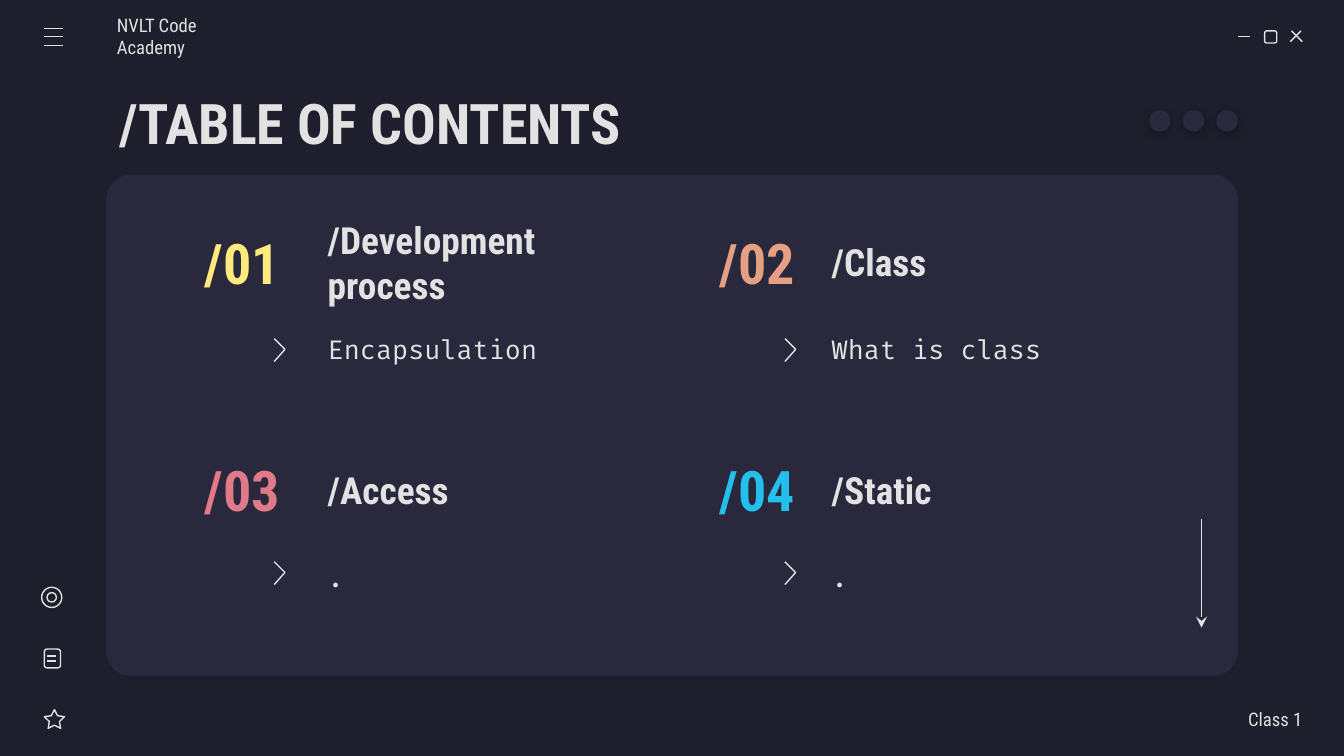
from dataclasses import dataclass

from lxml.etree import SubElement
from pptx import Presentation
from pptx.dml.color import RGBColor
from pptx.enum.shapes import MSO_CONNECTOR as Connector, MSO_SHAPE as Preset
from pptx.enum.text import MSO_ANCHOR as Anchor, MSO_AUTO_SIZE as AutoSize, PP_ALIGN as Align
from pptx.oxml import parse_xml
from pptx.oxml.ns import nsdecls, qn
from pptx.util import Inches, Pt

NIGHT, PANEL, LIGHT = "1E1E2C", "29283D", "E2E2E2"
HEADING_FONT, CODE_FONT = "Roboto Condensed", "Fira Code"
LINE_WIDTH = 0.75


@dataclass(frozen=True)
class Topic:
    number: str
    name: str
    detail: str
    color: str


TOPICS = [
    Topic("/01", "/Development process", "Encapsulation", "FFEA7D"),
    Topic("/02", "/Class", "What is class", "E5A083"),
    Topic("/03", "/Access", ".", "E07A88"),
    Topic("/04", "/Static", ".", "24BFEB"),
]


@dataclass(frozen=True)
class Column:
    number: float
    chevron: float
    text: float


@dataclass(frozen=True)
class Row:
    heading: float
    chevron: float
    detail: float


COLUMNS = [Column(1.35, 2.04, 2.34), Column(5.18, 5.84, 6.09)]
ROWS = [Row(1.67, 2.52, 2.22), Row(3.36, 4.18, 3.92)]


def rgb(color: str) -> RGBColor:
    return RGBColor.from_string(color)


def add_text(page, text: str, left: float, top: float, width: float, height: float, *,
             size: float, font: str = HEADING_FONT, color: str = LIGHT, bold: bool = False,
             align=Align.LEFT, inset_left: float = 0.1, inset_right: float = 0.1, box=None):
    """Write text in the given box, or in a new text box."""
    box = box or page.shapes.add_textbox(0, 0, 0, 0)
    box.left, box.top = Inches(left), Inches(top)
    box.width, box.height = Inches(width), Inches(height)
    frame = box.text_frame
    frame.word_wrap = True
    frame.auto_size = AutoSize.NONE
    frame.vertical_anchor = Anchor.MIDDLE
    frame.margin_left, frame.margin_right = Inches(inset_left), Inches(inset_right)
    frame.margin_top = frame.margin_bottom = Inches(0.1)
    para = frame.paragraphs[0]
    para.alignment = align
    span = para.add_run()
    span.text = text
    span.font.name = font
    span.font.size = Pt(size)
    span.font.bold = bold
    span.font.color.rgb = rgb(color)
    return box


def set_outline(shape) -> None:
    shape.line.color.rgb = rgb(LIGHT)
    shape.line.width = Pt(LINE_WIDTH)


def add_preset(page, preset, left: float, top: float, width: float, height: float,
               fill: str | None = None, adjust: float | None = None):
    """Add a filled shape, or an outlined one when no fill is given."""
    shape = page.shapes.add_shape(preset, Inches(left), Inches(top), Inches(width), Inches(height))
    shape.shadow.inherit = False
    if adjust is not None:
        shape.adjustments[0] = adjust
    if fill:
        shape.fill.solid()
        shape.fill.fore_color.rgb = rgb(fill)
        shape.line.fill.background()
    else:
        shape.fill.background()
        set_outline(shape)
    return shape


def add_line(page, x1: float, y1: float, x2: float, y2: float, arrow: bool = False) -> None:
    line = page.shapes.add_connector(
        Connector.STRAIGHT, Inches(x1), Inches(y1), Inches(x2), Inches(y2))
    set_outline(line)
    if arrow:
        SubElement(line._element.spPr.find(qn("a:ln")), qn("a:tailEnd"), type="stealth")
    SubElement(line._element.spPr, qn("a:effectLst"))


def add_chevron(page, left: float, top: float) -> None:
    builder = page.shapes.build_freeform(Inches(left), Inches(top))
    builder.add_line_segments(
        [(Inches(left + 0.08), Inches(top + 0.08)), (Inches(left), Inches(top + 0.17))], close=False)
    chevron = builder.convert_to_shape()
    chevron.shadow.inherit = False
    chevron.fill.background()
    set_outline(chevron)


def add_shadow(shape) -> None:
    effects = shape._element.spPr.find(qn("a:effectLst"))
    effects.append(parse_xml(
        f'<a:outerShdw {nsdecls("a")} blurRad="{Pt(4.5)}" dist="{Pt(1.5)}" dir="5400000"'
        ' algn="bl" rotWithShape="0"><a:srgbClr val="000000"><a:alpha val="30000"/>'
        '</a:srgbClr></a:outerShdw>'))


def add_topic(page, topic: Topic, column: Column, row: Row) -> None:
    add_text(page, topic.name, column.text, row.heading, 2.55, 0.56, size=20, bold=True)
    add_text(page, topic.number, column.number, row.heading, 0.91, 0.56,
             size=30, bold=True, color=topic.color, align=Align.CENTER)
    add_text(page, topic.detail, column.text, row.detail, 2.55, 0.75, size=14, font=CODE_FONT)
    add_chevron(page, column.chevron, row.chevron)


def add_window_buttons(page) -> None:
    add_line(page, 9.21, 0.27, 9.3, 0.27)
    add_preset(page, Preset.ROUNDED_RECTANGLE, 9.41, 0.23, 0.09, 0.09)
    add_line(page, 9.61, 0.23, 9.69, 0.31)
    add_line(page, 9.68, 0.23, 9.6, 0.31)


def add_side_icons(page) -> None:
    for y in (0.21, 0.27, 0.34):
        add_line(page, 0.33, y, 0.47, y)
    add_preset(page, Preset.OVAL, 0.31, 4.37, 0.15, 0.15)
    add_preset(page, Preset.OVAL, 0.35, 4.41, 0.07, 0.07)
    add_preset(page, Preset.ROUNDED_RECTANGLE, 0.33, 4.83, 0.12, 0.14)
    for y in (4.88, 4.92):
        add_line(page, 0.35, y, 0.42, y)
    add_preset(page, Preset.STAR_5_POINT, 0.33, 5.28, 0.15, 0.14, adjust=0.25)


def main() -> None:
    deck = Presentation()
    deck.slide_width = Inches(10)
    deck.slide_height = deck.slide_width * 9 // 16
    page = deck.slides.add_slide(deck.slide_layouts[5])
    page.background.fill.solid()
    page.background.fill.fore_color.rgb = rgb(NIGHT)

    add_preset(page, Preset.ROUNDED_RECTANGLE, 0.79, 1.3, 8.42, 3.73, PANEL, 0.05)
    add_window_buttons(page)
    add_text(page, "/TABLE OF CONTENTS", 0.79, 0.59, 8.42, 0.63,
             size=30, bold=True, box=page.shapes.title)
    for index, topic in enumerate(TOPICS):
        row, column = divmod(index, len(COLUMNS))
        add_topic(page, topic, COLUMNS[column], ROWS[row])

    add_text(page, "NVLT Code Academy", 0.87, 0.12, 1.17, 0.3, size=10, inset_left=0)
    add_side_icons(page)
    add_text(page, "Class 1", 8.52, 5.2, 1.17, 0.3, size=10, align=Align.RIGHT, inset_right=0)
    add_line(page, 8.94, 3.86, 8.94, 4.67, arrow=True)
    for step in range(3):
        add_shadow(add_preset(page, Preset.OVAL, 8.55 + 0.25 * step, 0.82, 0.16, 0.16, PANEL))

    deck.save("out.pptx")


if __name__ == "__main__":
    main()
